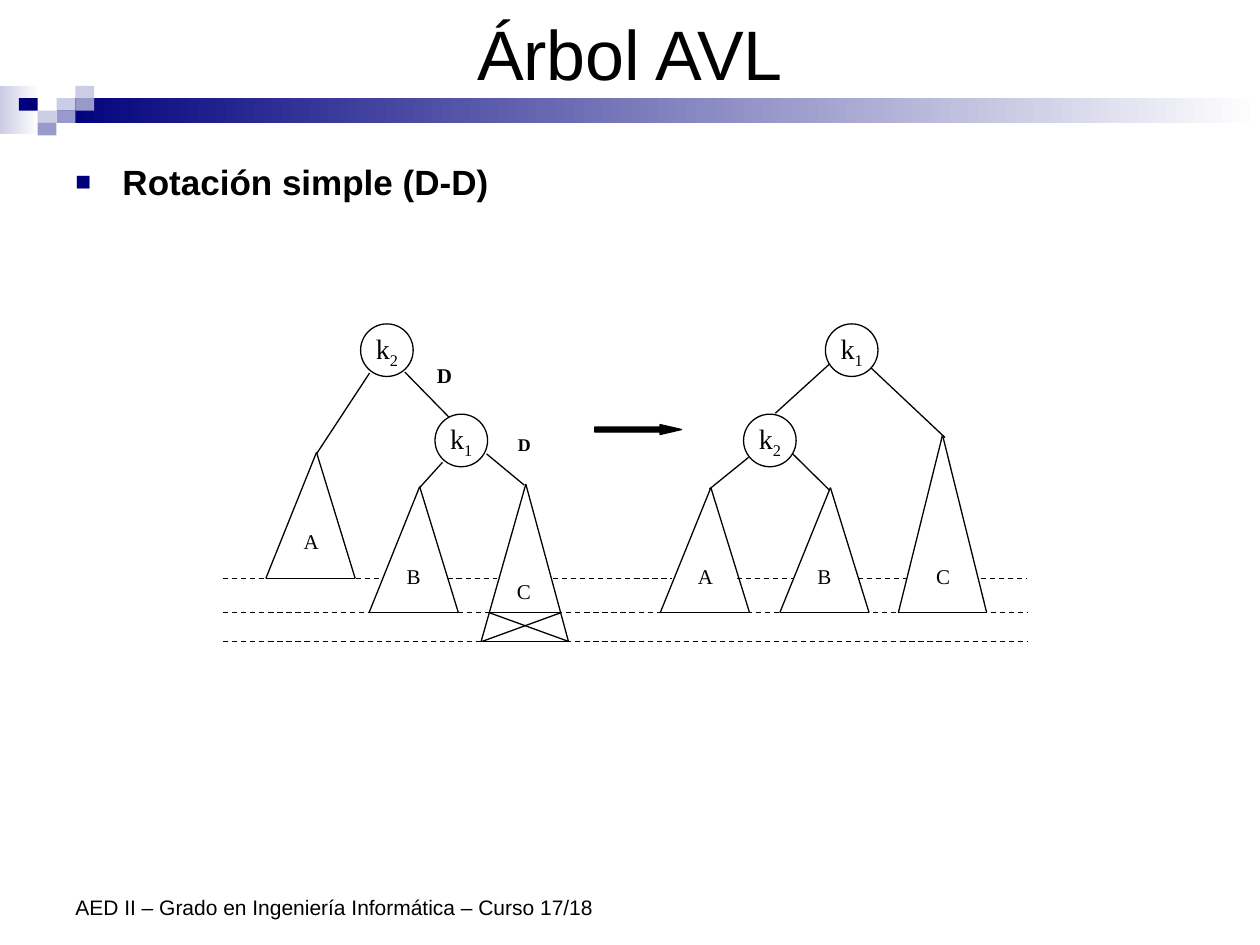
from lxml.etree import SubElement
from pptx import Presentation
from pptx.dml.color import RGBColor
from pptx.enum.dml import MSO_LINE
from pptx.enum.shapes import MSO_CONNECTOR, MSO_SHAPE
from pptx.enum.text import MSO_ANCHOR, PP_ALIGN
from pptx.oxml.ns import qn
from pptx.util import Cm, Pt

BLACK = RGBColor(0x00, 0x00, 0x00)
WHITE = RGBColor(0xFF, 0xFF, 0xFF)
NAVY = RGBColor(0x00, 0x00, 0x7D)
LILAC = RGBColor(0xCC, 0xCC, 0xE6)
VIOLET = RGBColor(0x99, 0x99, 0xCC)
SANS, SERIF = "Arial", "Times New Roman"


def add_run(p, text, size, font, bold=False):
    """Add one black run to a paragraph."""
    r = p.add_run()
    r.text = text
    r.font.size, r.font.name, r.font.bold = Pt(size), font, bold
    r.font.color.rgb = BLACK
    return r


def add_text(s, x, y, w, h, text, size, font, bold=False,
             anchor=MSO_ANCHOR.TOP, align=PP_ALIGN.LEFT):
    """Add a one-paragraph text box and return the paragraph."""
    tf = s.shapes.add_textbox(Cm(x), Cm(y), Cm(w), Cm(h)).text_frame
    tf.word_wrap = True
    tf.vertical_anchor = anchor
    p = tf.paragraphs[0]
    p.alignment = align
    add_run(p, text, size, font, bold)
    return p


def add_filled(s, kind, x, y, w, h, fill, outline=False):
    """Add a preset shape with a solid fill and an optional thin outline."""
    sp = s.shapes.add_shape(kind, Cm(x), Cm(y), Cm(w), Cm(h))
    sp.shadow.inherit = False
    sp.fill.solid()
    sp.fill.fore_color.rgb = fill
    if outline:
        sp.line.color.rgb = BLACK
        sp.line.width = Pt(0.75)
    else:
        sp.line.fill.background()
    return sp


def add_line(s, x1, y1, x2, y2, dashed=False):
    """Add a thin black straight line."""
    c = s.shapes.add_connector(MSO_CONNECTOR.STRAIGHT, Cm(x1), Cm(y1), Cm(x2), Cm(y2))
    c.line.color.rgb = BLACK
    c.line.width = Pt(0.75)
    if dashed:
        c.line.dash_style = MSO_LINE.DASH
    SubElement(c._element.spPr, qn("a:effectLst"))


def add_band(s, x, y, w):
    """Draw the fading band and its mosaic of small tiles."""
    tile_w, tile_h, first = 0.38, 0.25, 0.76
    bars = [(0, 0, 0.79, 0.97, LILAC), (1.14, tile_h, w - 1.14, 0.51, NAVY)]
    for dx, dy, bar_w, bar_h, color in bars:
        sp = add_filled(s, MSO_SHAPE.RECTANGLE, x + dx, y + dy, bar_w, bar_h, color)
        sp.fill.gradient()
        sp.fill.gradient_angle = 0
        for stop, position, rgb in zip(sp.fill.gradient_stops, (0, 1), (color, WHITE)):
            stop.position = position
            stop.color.rgb = rgb
    tiles = [(1, 1, LILAC), (2, 0, LILAC), (2, 1, VIOLET), (0, 2, LILAC),
             (-1, 1, NAVY), (1, 2, VIOLET), (0, 3, VIOLET)]
    for col, row, color in tiles:
        add_filled(s, MSO_SHAPE.RECTANGLE, x + first + col * tile_w, y + row * tile_h,
                   tile_w, tile_h, color)


def add_bullet(s, x, y, w, h, text):
    """Add the bold heading with a square bullet."""
    p = add_text(s, x, y, w, h, text, 20, SANS, True)
    pPr = p._p.get_or_add_pPr()
    pPr.set("marL", str(Cm(0.95)))
    pPr.set("indent", str(-Cm(0.95)))
    SubElement(SubElement(pPr, qn("a:buClr")), qn("a:srgbClr"), val=str(NAVY))
    SubElement(pPr, qn("a:buSzPct"), val="75000")
    SubElement(pPr, qn("a:buFont"), typeface=SANS)
    SubElement(pPr, qn("a:buChar"), char="■")


def add_node(s, x, y, index):
    """Add a round tree node named k with a subscript."""
    sp = add_filled(s, MSO_SHAPE.OVAL, x, y, 1.06, 1.06, WHITE, True)
    tf = sp.text_frame
    tf.margin_left = tf.margin_right = tf.margin_top = tf.margin_bottom = 0
    tf.word_wrap = False
    tf.vertical_anchor = MSO_ANCHOR.MIDDLE
    p = tf.paragraphs[0]
    p.alignment = PP_ALIGN.CENTER
    add_run(p, "k", 16, SERIF)
    r = add_run(p, index, 16, SERIF)
    r.font._element.set("baseline", "-25000")


def add_subtree(s, x, top, base, name, left=1.02, right=0.78, label_dx=0.51, label_up=1.12):
    """Draw a triangular subtree with its apex at x, top."""
    corners = [(x, top), (x - left, base), (x + right, base)]
    for start, end in zip(corners, corners[1:] + corners[:1]):
        add_line(s, *start, *end)
    add_text(s, x - label_dx, base - label_up, 1.02, 0.84, name, 12, SERIF)


def add_levels(s, x, y, w, upper, middle, lower):
    """Draw the dashed depth levels, the upper one broken by the subtrees."""
    gaps = [(0.84, 2.67), (3.15, 4.52), (5.51, 6.65), (9.04, 10.36),
            (11.48, 12.8), (13.79, 15.27)]
    stops = [0] + [edge for gap in gaps for edge in gap] + [w]
    for start, end in zip(stops[::2], stops[1::2]):
        add_line(s, x + start, y + upper, x + end, y + upper, True)
    for level in (middle, lower):
        add_line(s, x, y + level, x + w, y + level, True)


def add_rotation(s, x, y, w):
    """Draw the tree before and after the simple rotation."""
    upper, middle, lower = 5.13, 5.82, 6.4
    add_levels(s, x, y, w, upper, middle, lower)
    edges = [(1.88, 2.62, 2.95, 0.99), (4.6, 1.93, 3.66, 0.97),
             (4.42, 2.79, 3.96, 3.3), (5.31, 2.62, 6.07, 3.25),
             (9.8, 3.33, 10.59, 2.69), (12.22, 3.35, 11.48, 2.62),
             (14.55, 2.29, 13.03, 0.86), (12.22, 0.81, 11.13, 1.8)]
    inserted = [(5.36, middle, 6.78, middle), (5.22, lower, 6.81, middle),
                (5.36, middle, 6.96, lower)]
    for x1, y1, x2, y2 in edges + inserted:
        add_line(s, x + x1, y + y1, x + x2, y + y2)
    for apex, top, base, name in [(1.88, 2.59, upper, "A"), (3.96, 3.28, middle, "B"),
                                  (9.83, 3.3, middle, "A"), (12.24, 3.3, middle, "B")]:
        add_subtree(s, x + apex, y + top, y + base, name)
    add_subtree(s, x + 6.1, y + 3.23, y + lower, "C", 0.9, 0.86, 0.43, 1.4)
    add_subtree(s, x + 14.5, y + 2.24, y + middle, "C", 0.89, 0.89, 0.38)
    for dx, dy, index in [(2.77, 0, "2"), (4.27, 1.82, "1"),
                          (10.49, 1.82, "2"), (12.14, 0, "1")]:
        add_node(s, x + dx, y + dy, index)
    add_text(s, x + 4.06, y + 0.66, 0.94, 0.84, "D", 12, SERIF, True)
    p = add_text(s, x + 5.69, y + 2.13, 0.89, 0.74, "D", 10.2, SERIF, True)
    p.line_spacing = 0.9
    arrow = add_filled(s, MSO_SHAPE.RIGHT_ARROW, x + 7.49, y + 2.03, 1.75, 0.2, BLACK, True)
    arrow.adjustments[0] = 0.5
    arrow.adjustments[1] = 2.16


def main():
    """Build and save the slide."""
    prs = Presentation()
    prs.slide_width, prs.slide_height = Cm(25.4), Cm(19.05)
    s = prs.slides.add_slide(prs.slide_layouts[6])
    add_band(s, 0, 1.73, 25.4)
    add_text(s, 1.27, 17.35, 11.43, 1.32,
             "AED II – Grado en Ingeniería Informática – Curso 17/18",
             12, SANS, anchor=MSO_ANCHOR.BOTTOM)
    add_text(s, 1.27, 0.13, 22.86, 1.85, "Árbol AVL", 40, SANS,
             anchor=MSO_ANCHOR.MIDDLE, align=PP_ALIGN.CENTER)
    add_bullet(s, 1.27, 3.12, 23.24, 13.79, "Rotación simple (D-D)")
    add_rotation(s, 4.5, 6.53, 16.2)
    prs.save("out.pptx")


if __name__ == "__main__":
    main()
